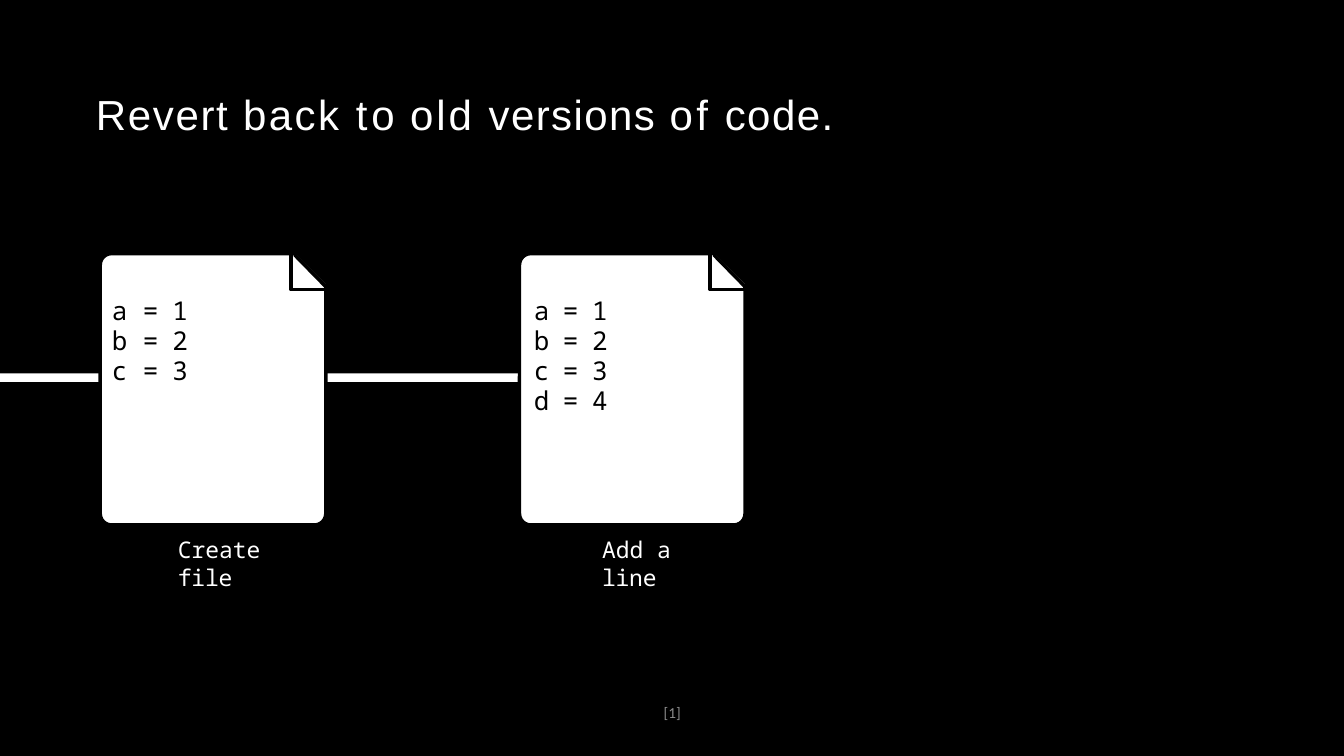
import pptx
import pptx.util
import pptx.oxml.ns
import pptx.dml.color
import pptx.enum.shapes
import pptx.enum.text

PX = 9144  # 100 px to the inch
KIND = pptx.enum.shapes.MSO_SHAPE
SIDE = pptx.enum.text.PP_ALIGN


class Theme:
    black = pptx.dml.color.RGBColor(0, 0, 0)
    white = pptx.dml.color.RGBColor(255, 255, 255)
    gray = pptx.dml.color.RGBColor(0x8C, 0x8C, 0x8C)
    mono, head, foot = "Noto Sans Mono", "Arial", "Calibri"
    title, code, note, page = 49.5, 30.5, 27, 18
    edge = 4.12


def paint(shape, fill, line=None):
    shape.shadow.inherit = False
    shape.fill.solid()
    shape.fill.fore_color.rgb = fill
    if line is None:
        shape.line.fill.background()
    else:
        shape.line.color.rgb = line
        shape.line.width = pptx.util.Pt(Theme.edge)


def write(para, text, font, size, color, gap=0):
    run = para.add_run()
    run.text = text
    run.font.name = font
    run.font.size = pptx.util.Pt(size)
    run.font.color.rgb = color
    if gap:
        run.font._element.set("spc", str(round(gap * 100)))


deck = pptx.Presentation()
deck.slide_width, deck.slide_height = 2199 * PX, 1237 * PX
slide = deck.slides.add_slide(deck.slide_layouts[5])
shapes = slide.shapes

# Black ground, moved behind the title
ground = shapes.add_shape(
    KIND.RECTANGLE, 0, 0, deck.slide_width, deck.slide_height)
paint(ground, Theme.black)
shapes._spTree.insert(2, ground._element)

# Title
title = shapes.title
title.left, title.top, title.width, title.height = [
    n * PX for n in (156, 43, 1638, 185)]
frame = title.text_frame
frame.margin_left = PX
frame.margin_right = frame.margin_bottom = 0
frame.margin_top = 101 * PX
frame.word_wrap = True
frame.auto_size = pptx.enum.text.MSO_AUTO_SIZE.NONE
frame.vertical_anchor = pptx.enum.text.MSO_ANCHOR.TOP
para = frame.paragraphs[0]
para.alignment = SIDE.LEFT
para.space_before = pptx.util.Pt(0.9)
for word, gap in (("Revert ", 2), ("back ", 2.9), ("to", 4.6), (" ", -2.4),
                  ("old", 3.5), (" ", 2.3), ("versions ", 1.7),
                  ("of", 4.1), (" ", 1.7), ("code.", 1.8)):
    write(para, word, Theme.head, Theme.title, Theme.white, gap)

# Time line behind the files
bar = shapes.add_shape(KIND.RECTANGLE, 0, 611 * PX, 1088 * PX, 14 * PX)
paint(bar, Theme.white)

# Files, each with a folded corner
STRIP = ((318, 417), (325, 410), (376, 461), (369, 469))
COVER = ((311, 407), (339, 379), (406, 446), (378, 474))
for left in (164, 850):
    sheet = shapes.add_shape(
        KIND.ROUNDED_RECTANGLE, left * PX, 415 * PX, 369 * PX, 444 * PX)
    sheet.adjustments[0] = 0.05
    paint(sheet, Theme.white, Theme.black)
    fold = shapes.add_shape(
        KIND.RECTANGLE, (left + 312) * PX, 414 * PX, 57 * PX, 60 * PX)
    paint(fold, Theme.white, Theme.black)
    for points, fill, line in ((STRIP, Theme.white, Theme.black),
                               (COVER, Theme.black, None)):
        spots = [(left + x, y) for x, y in points]
        pen = shapes.build_freeform(*spots[0], scale=PX)
        pen.add_line_segments(spots[1:], close=True)
        paint(pen.convert_to_shape(), fill, line)

# Code lines in both files
ROWS = (("a", "1"), ("b", "2"), ("c", "3"), ("d", "4"))
grid = shapes.add_table(4, 5, 0, 496 * PX, 1088 * PX, 190 * PX).table
grid.first_row = grid.horz_banding = False
style = grid._tbl.tblPr.find(pptx.oxml.ns.qn("a:tableStyleId"))
style.text = "{2D5ABB26-0587-4C30-8999-92F81FD0307C}"  # no style, no grid
for col, wide in zip(grid.columns, (270, 320, 320, 47, 131)):
    col.width = wide * PX
for r, (name, value) in enumerate(ROWS):
    grid.rows[r].height = (46, 49, 49, 46)[r] * PX
    first = (((name + " ", 0), ("=", -0.5)), ((value, -0.5),))
    if r == 3:
        first = ((), ())
    second = (((name, -0.5),), (("=", -0.5),), ((value, -0.5),))
    for c, parts in enumerate(first + second):
        cell = grid.cell(r, c)
        cell.fill.background()
        cell.margin_left = (12 if c in (1, 4) else 0) * PX
        cell.margin_right = (11 if c in (0, 2) else 0) * PX
        cell.margin_top = cell.margin_bottom = 0
        para = cell.text_frame.paragraphs[0]
        para.line_spacing = pptx.util.Pt(31.2 if r else 28.8)
        para.alignment = (SIDE.RIGHT, SIDE.LEFT, SIDE.RIGHT,
                          SIDE.CENTER, SIDE.LEFT)[c]
        for text, gap in parts:
            write(para, text, Theme.mono, Theme.code, Theme.black, gap)

# Captions and page number
NOTE = (Theme.mono, Theme.note, Theme.white)
PAGE = (Theme.foot, Theme.page, Theme.gray)
for left, top, wide, high, side, look, parts in (
        (291, 877, 229, 47, SIDE.LEFT, NOTE, (("Create ", 0), ("file", -0.2))),
        (985, 877, 209, 47, SIDE.LEFT, NOTE, (("Add a ", 0), ("line", -0.2))),
        (748, 1150, 704, 62, SIDE.CENTER, PAGE, (("[1]", 0),))):
    box = shapes.add_textbox(left * PX, top * PX, wide * PX, high * PX)
    frame = box.text_frame
    frame.word_wrap = True
    frame.margin_left = frame.margin_right = 0
    frame.margin_top = frame.margin_bottom = 0
    para = frame.paragraphs[0]
    para.alignment = side
    for text, gap in parts:
        write(para, text, *look, gap)

deck.save("out.pptx")
